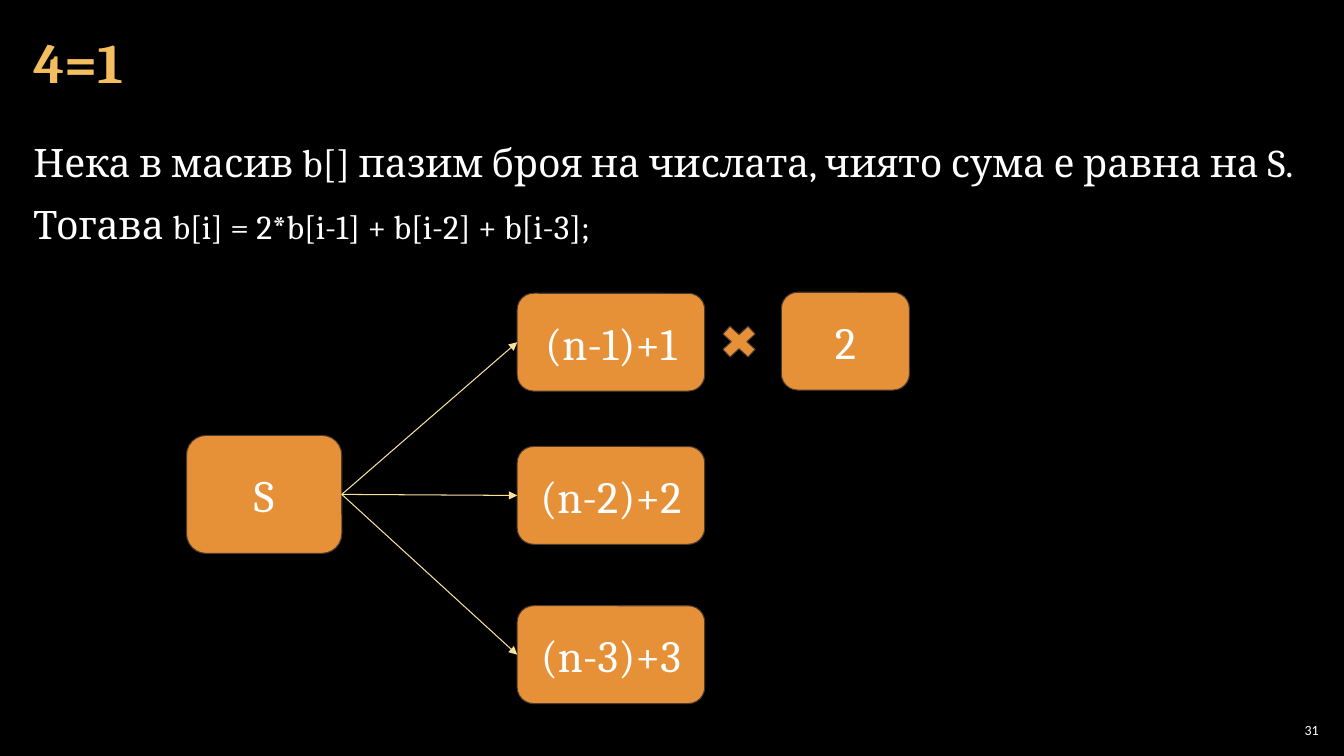
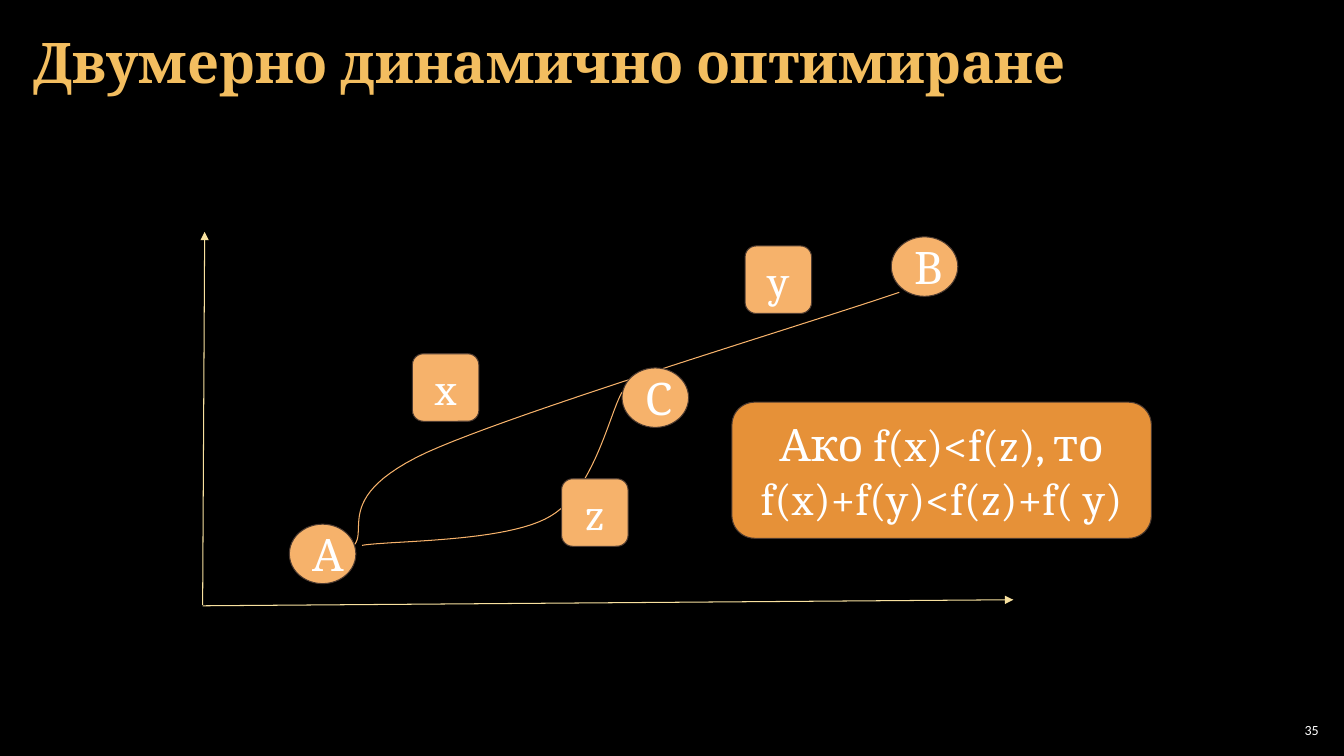
import dataclasses

import lxml.etree
import pptx
import pptx.dml.color
import pptx.enum.shapes
import pptx.enum.text
import pptx.oxml.ns
import pptx.util

Inches = pptx.util.Inches
Pt = pptx.util.Pt
Shape = pptx.enum.shapes.MSO_SHAPE
Align = pptx.enum.text.PP_ALIGN
Anchor = pptx.enum.text.MSO_ANCHOR


@dataclasses.dataclass(frozen=True)
class Theme:
    background: str = "000000"
    title: str = "F3BE60"
    text: str = "FFFFFF"
    box: str = "E69138"
    point: str = "F6B26B"
    outline: str = "4E3B30"
    arrow: str = "F8E19F"
    font: str = "Cambria"
    number_font: str = "Calibri"
    title_size: int = 40
    label_size: int = 32
    body_size: int = 28
    formula_size: int = 24
    number_size: int = 10
    line_width: float = 0.75


THEME = Theme()


def rgb(value):
    return pptx.dml.color.RGBColor.from_string(value)


def write(frame, paragraphs, *, size, color=THEME.text, font=THEME.font, bold=False,
          align=Align.LEFT, anchor=Anchor.MIDDLE, insets=(0.13, 0.13),
          line_spacing=None, space_after=None):
    frame.word_wrap = True
    frame.vertical_anchor = anchor
    frame.margin_left = frame.margin_right = Inches(insets[0])
    frame.margin_top = frame.margin_bottom = Inches(insets[1])
    for index, runs in enumerate(paragraphs):
        paragraph = frame.add_paragraph() if index else frame.paragraphs[0]
        paragraph.alignment = align
        if line_spacing:
            paragraph.line_spacing = line_spacing
        if space_after:
            paragraph.space_after = Pt(space_after)
        for text, run_size in runs:
            run = paragraph.add_run()
            run.text = text
            run.font.name = font
            run.font.size = Pt(run_size or size)
            run.font.bold = bold
            run.font.color.rgb = rgb(color)


def bezier(start, first, second, end, steps=24):
    for step in range(1, steps + 1):
        t = step / steps
        weights = ((1 - t) ** 3, 3 * t * (1 - t) ** 2, 3 * t * t * (1 - t), t ** 3)
        yield tuple(sum(w * p[axis] for w, p in zip(weights, (start, first, second, end)))
                    for axis in (0, 1))


class Deck:
    def __init__(self, theme):
        self.theme = theme
        self.presentation = pptx.Presentation()
        self.presentation.slide_width = Inches(13.33)
        self.presentation.slide_height = Inches(7.5)
        self.slide = None

    def start_slide(self, title, number):
        theme = self.theme
        self.slide = self.presentation.slides.add_slide(self.presentation.slide_layouts[6])
        self.slide.background.fill.solid()
        self.slide.background.fill.fore_color.rgb = rgb(theme.background)
        self.text((0.21, 0.04, 12.91, 1.21), [[(title, None)]], size=theme.title_size,
                  color=theme.title, bold=True, insets=(0.12, 0.04), line_spacing=0.9)
        self.text((12.65, 7.14, 0.47, 0.21), [[(str(number), None)]],
                  size=theme.number_size, font=theme.number_font,
                  align=Align.RIGHT, insets=(0.04, 0.04))

    def text(self, place, paragraphs, **text_format):
        area = self.slide.shapes.add_textbox(*map(Inches, place))
        write(area.text_frame, paragraphs, **text_format)

    def shape(self, kind, place, fill, label=None, align=Align.CENTER):
        figure = self.slide.shapes.add_shape(kind, *map(Inches, place))
        figure.shadow.inherit = False
        figure.fill.solid()
        figure.fill.fore_color.rgb = rgb(fill)
        self.stroke(figure.line, self.theme.outline)
        if label:
            write(figure.text_frame, [[(label, None)]], size=self.theme.label_size, align=align)
        return figure

    def box(self, place, label):
        return self.shape(Shape.ROUNDED_RECTANGLE, place, self.theme.box, label)

    def point(self, left, top, label):
        self.shape(Shape.OVAL, (left, top, 0.66, 0.59), self.theme.point, label, Align.LEFT)

    def route_label(self, left, top, label):
        self.shape(Shape.ROUNDED_RECTANGLE, (left, top, 0.66, 0.67), self.theme.point, label)

    def stroke(self, line, color):
        line.color.rgb = rgb(color)
        line.width = Pt(self.theme.line_width)

    def arrow(self, start, end):
        arrow = self.slide.shapes.add_connector(
            pptx.enum.shapes.MSO_CONNECTOR.STRAIGHT, *map(Inches, (*start, *end)))
        self.stroke(arrow.line, self.theme.arrow)
        qn = pptx.oxml.ns.qn
        properties = arrow.element.spPr
        lxml.etree.SubElement(properties.find(qn("a:ln")), qn("a:tailEnd"), type="triangle")
        lxml.etree.SubElement(properties, qn("a:effectLst"))
        return arrow

    def branch(self, source, target):
        arrow = self.arrow((0, 0), (1, 1))
        arrow.begin_connect(source, 3)
        arrow.end_connect(target, 1)

    def curve(self, start, *segments):
        points = [start]
        for segment in segments:
            points.extend(bezier(points[-1], *segment))
        corners = [tuple(map(Inches, point)) for point in points]
        builder = self.slide.shapes.build_freeform(*corners[0])
        builder.add_line_segments(corners[1:], close=False)
        route = builder.convert_to_shape()
        route.shadow.inherit = False
        route.fill.background()
        self.stroke(route.line, self.theme.point)


def build_sums(deck):
    theme = deck.theme
    deck.start_slide("4=1", 31)
    deck.text((0.21, 1.26, 12.91, 6.09), [
        [("Нека в масив b[] пазим броя на числата, чиято сума е равна на S.", None)],
        [("Тогава ", None), ("b[i] = 2*b[i-1] + b[i-2] + b[i-3];", theme.formula_size)],
    ], size=theme.body_size, align=Align.JUSTIFY, anchor=Anchor.TOP,
        insets=(0.12, 0.04), line_spacing=1.15, space_after=6)
    total = deck.box((1.85, 4.32, 1.54, 1.17), "S")
    for last, top in enumerate((2.91, 4.43, 6.01), start=1):
        deck.branch(total, deck.box((5.13, top, 1.86, 0.97), f"(n-{last})+{last}"))
    deck.shape(Shape.MATH_MULTIPLY, (7.09, 3.17, 0.48, 0.44), theme.box)
    deck.box((7.75, 2.9, 1.27, 0.97), "2")


def build_routes(deck):
    deck.start_slide("Двумерно динамично оптимиране", 35)
    deck.curve((3.52, 5.4),
               ((3.64, 5.24), (3.33, 4.91), (4.23, 4.49)),
               ((5.13, 4.08), (8.14, 3.17), (8.92, 2.9)))
    deck.curve((3.59, 5.41),
               ((3.9, 5.36), (5.03, 5.38), (5.46, 5.12)),
               ((5.89, 4.87), (6.05, 4.09), (6.17, 3.89)))
    for left, top, label in ((2.87, 5.2, "А"), (8.84, 2.35, "В"), (6.17, 3.65, "С")):
        deck.point(left, top, label)
    for left, top, label in ((4.09, 3.51, "x"), (5.57, 4.75, "z"), (7.39, 2.44, "y")):
        deck.route_label(left, top, label)
    deck.arrow((2.01, 6), (2.03, 2.3))
    deck.arrow((2.01, 6.01), (10.05, 5.95))
    deck.box((7.26, 3.99, 4.16, 1.35), "Ако f(x)<f(z), то f(x)+f(y)<f(z)+f( y)")


def main():
    deck = Deck(THEME)
    build_sums(deck)
    build_routes(deck)
    deck.presentation.save("out.pptx")


if __name__ == "__main__":
    main()
